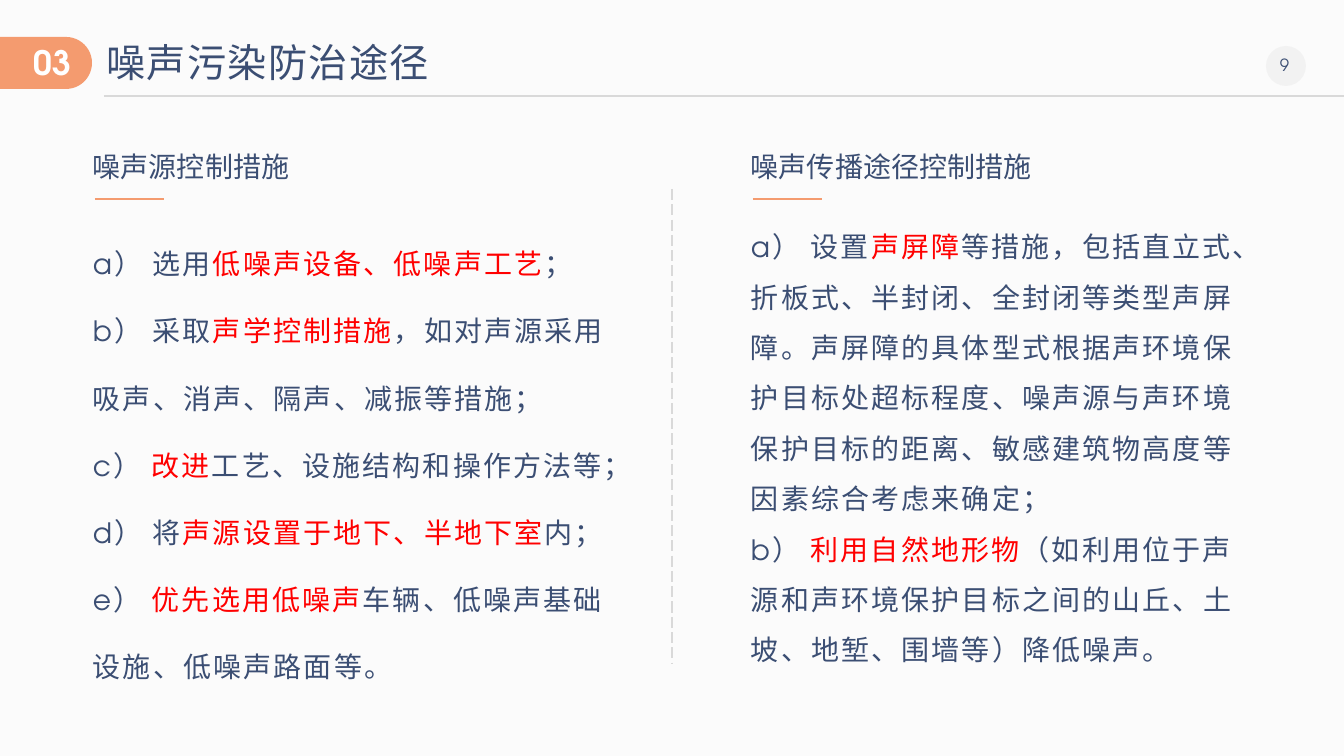
from lxml.etree import SubElement
from pptx import Presentation
from pptx.dml.color import RGBColor
from pptx.enum.dml import MSO_LINE
from pptx.enum.lang import MSO_LANGUAGE_ID
from pptx.enum.shapes import MSO_CONNECTOR, MSO_SHAPE
from pptx.enum.text import MSO_ANCHOR, MSO_AUTO_SIZE, PP_ALIGN
from pptx.oxml.ns import qn
from pptx.util import Emu, Pt

PAPER = RGBColor(0xFB, 0xFB, 0xFB)
NAVY = RGBColor(0x3B, 0x4E, 0x73)
ORANGE = RGBColor(0xF4, 0x9B, 0x6F)
RED = RGBColor(0xFF, 0x00, 0x00)
WHITE = RGBColor(0xFF, 0xFF, 0xFF)
RULE_GRAY = RGBColor(0xD9, 0xD9, 0xD9)
BADGE_GRAY = RGBColor(0xA6, 0xA6, 0xA6)
HAN = "Noto Sans CJK SC"
LATIN = "TeX Gyre Adventor"

SOURCE_MEASURES = [
    ("a） 选用", "低噪声设备、低噪声工艺", "；"),
    ("b） 采取", "声学控制措施", "，如对声源采用吸声、消声、隔声、减振等措施；"),
    ("c） ", "改进", "工艺、设施结构和操作方法等；"),
    ("d） 将", "声源设置于地下、半地下室", "内；"),
    ("e） ", "优先选用低噪声", "车辆、低噪声基础设施、低噪声路面等。"),
]
PATH_MEASURES = [
    ("a） 设置", "声屏障",
     "等措施，包括直立式、折板式、半封闭、全封闭等类型声屏障。"
     "声屏障的具体型式根据声环境保护目标处超标程度、噪声源与声环境保护目标的距离、"
     "敏感建筑物高度等因素综合考虑来确定；"),
    ("b） ", "利用自然地形物",
     "（如利用位于声源和声环境保护目标之间的山丘、土坡、地堑、围墙等）降低噪声。"),
]


def px(length):
    return Emu(round(length * 914400 / 100.8))


class SlideBuilder:
    """Draws styled elements on the current slide, with lengths in px."""

    def __init__(self, deck):
        self.page = deck.slides.add_slide(deck.slide_layouts[5])
        self.page.background.fill.solid()
        self.page.background.fill.fore_color.rgb = PAPER

    def style(self, para, size, latin=LATIN, color=NAVY, bold=False, tracking=0):
        font = para.font
        font.size, font.bold, font.name = Pt(size), bold, latin
        font.color.rgb = color
        font.language_id = MSO_LANGUAGE_ID.SIMPLIFIED_CHINESE
        properties = para._p.pPr.find(qn("a:defRPr"))
        properties.set("spc", str(round(tracking * 100)))
        SubElement(properties, qn("a:ea")).set("typeface", HAN)

    def frame(self, box, wrap=False, anchor=MSO_ANCHOR.TOP):
        frame = box.text_frame
        frame.word_wrap = wrap
        frame.auto_size = MSO_AUTO_SIZE.SHAPE_TO_FIT_TEXT
        frame.vertical_anchor = anchor
        return frame

    def title(self, text, left, top, width, height):
        box = self.page.shapes.title
        box.left, box.top, box.width, box.height = map(px, (left, top, width, height))
        frame = self.frame(box, anchor=MSO_ANCHOR.MIDDLE)
        frame.text = text
        para = frame.paragraphs[0]
        para.alignment = PP_ALIGN.LEFT
        self.style(para, 28, HAN, tracking=1)

    def label(self, text, left, top, width, height, size, anchor=MSO_ANCHOR.MIDDLE,
              align=PP_ALIGN.LEFT, **style):
        box = self.page.shapes.add_textbox(*map(px, (left, top, width, height)))
        frame = self.frame(box, anchor=anchor)
        frame.text = text
        frame.paragraphs[0].alignment = align
        self.style(frame.paragraphs[0], size, **style)

    def measures(self, items, left, top, width, height, spacing):
        box = self.page.shapes.add_textbox(*map(px, (left, top, width, height)))
        frame = self.frame(box, wrap=True)
        for index, (lead, key, rest) in enumerate(items):
            para = frame.add_paragraph() if index else frame.paragraphs[0]
            para.line_spacing = spacing
            self.style(para, 20, tracking=1.5)
            for text, color in ((lead, NAVY), (key, RED), (rest, NAVY)):
                span = para.add_run()
                span.text = text
                span.font.color.rgb = color

    def shape(self, kind, left, top, width, height, color, opacity=100):
        shape = self.page.shapes.add_shape(kind, *map(px, (left, top, width, height)))
        shape.shadow.inherit = False
        shape.fill.solid()
        shape.fill.fore_color.rgb = color
        shape.line.fill.background()
        if opacity < 100:
            tone = shape._element.spPr.find(".//" + qn("a:srgbClr"))
            SubElement(tone, qn("a:alpha")).set("val", str(opacity * 1000))
        return shape

    def line(self, x1, y1, x2, y2, color, weight=1.5, dash=None):
        line = self.page.shapes.add_connector(
            MSO_CONNECTOR.STRAIGHT, *map(px, (x1, y1, x2, y2)))
        line.line.color.rgb = color
        line.line.width = Pt(weight)
        if dash:
            line.line.dash_style = dash
        SubElement(line._element.spPr, qn("a:effectLst"))

    def column(self, heading, items, left, heading_width, width, height, spacing):
        self.label(heading, left, 145, heading_width, 44, 20,
                   anchor=MSO_ANCHOR.TOP, latin=HAN)
        self.line(left + 12, 199, left + 81, 199, ORANGE)
        self.measures(items, left, 208, width, height, spacing)


def main():
    deck = Presentation()
    deck.slide_width, deck.slide_height = px(1344), px(756)
    slide = SlideBuilder(deck)

    slide.shape(MSO_SHAPE.OVAL, 1266, 46, 40, 40, BADGE_GRAY, opacity=10)
    slide.label("9", 1257, 50, 55, 30, 12, align=PP_ALIGN.CENTER, tracking=1)
    slide.line(104, 96, 1344, 96, RULE_GRAY)
    slide.title("噪声污染防治途径", 96, 33, 349, 57)

    tab = slide.shape(MSO_SHAPE.ROUND_2_SAME_RECTANGLE, 20, 17, 52, 92, ORANGE)
    tab.adjustments[0] = 0.5
    tab.rotation = 90
    slide.label("03", 24, 37, 58, 50, 24, color=WHITE, bold=True)

    slide.column("噪声源控制措施", SOURCE_MEASURES, 83, 219, 551, 475, 2.0)
    slide.line(672, 189, 672, 663, RULE_GRAY, 1, MSO_LINE.LONG_DASH)
    slide.column("噪声传播途径控制措施", PATH_MEASURES, 741, 303, 520, 462, 1.5)

    deck.save("out.pptx")


if __name__ == "__main__":
    main()
